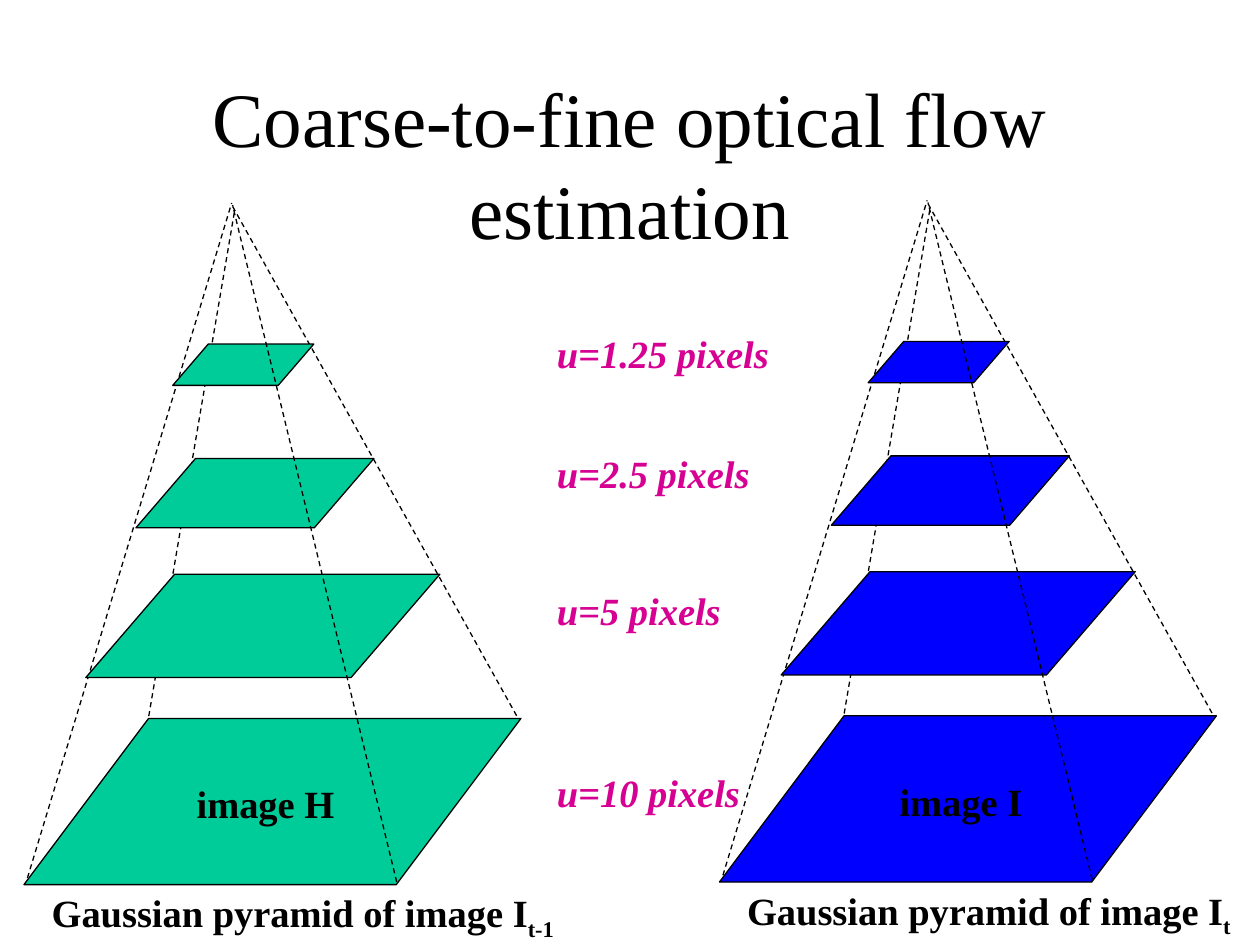
from lxml import etree
from pptx import Presentation
from pptx.dml.color import RGBColor
from pptx.enum import dml, shapes, text
from pptx.oxml.ns import qn
from pptx.util import Pt

BLACK = RGBColor(0x00, 0x00, 0x00)
GREEN = RGBColor(0x00, 0xCC, 0x99)
BLUE = RGBColor(0x00, 0x00, 0xFF)
MAGENTA = RGBColor(0xD6, 0x00, 0x93)
FONT = "Times New Roman"

# Pyramid parts, relative to the pyramid's top left corner
LAYERS = [  # left, top, width, height, slant
    (0, 294.5, 284, 95, 0.75),
    (64, 146, 136, 39.6, 0.86),
    (35.3, 212.2, 202.3, 59, 0.86),
    (85, 80.6, 80.6, 23.6, 0.86),
]
BACK_EDGES = [
    (2, 385.7, 118.7, 0),
    (281.5, 293, 118.8, 1.2),
    (120.2, 5.5, 71, 295),
]
FRONT_EDGE = (213, 388, 119.2, 1.2)

FLOW_LABELS = [("u=1.25 pixels", 0), ("u=2.5 pixels", 68.4),
               ("u=5 pixels", 146.9), ("u=10 pixels", 250.6)]


def style(font, size, color, bold=False, italic=False):
    font.name, font.size = FONT, Pt(size)
    font.bold, font.italic = bold, italic
    font.color.rgb = color


def add_label(page, left, top, width, words, color=BLACK, italic=False,
              align=text.PP_ALIGN.LEFT):
    box = page.shapes.add_textbox(Pt(left), Pt(top), Pt(width), Pt(26.6))
    frame = box.text_frame
    frame.word_wrap = True
    frame.margin_left = frame.margin_right = 0
    frame.margin_top = frame.margin_bottom = 0
    para = frame.paragraphs[0]
    para.text = words
    para.alignment = align
    style(para.font, 22, color, bold=True, italic=italic)
    return para


def add_edge(page, left, top, edge):
    x1, y1, x2, y2 = edge
    line = page.shapes.add_connector(
        shapes.MSO_CONNECTOR.STRAIGHT,
        Pt(left + x1), Pt(top + y1), Pt(left + x2), Pt(top + y2))
    line.line.color.rgb = BLACK
    line.line.width = Pt(0.75)
    line.line.dash_style = dml.MSO_LINE.DASH
    etree.SubElement(line._element.spPr, qn("a:effectLst"))


def add_pyramid(page, left, top, color, name, subscript):
    for edge in BACK_EDGES:
        add_edge(page, left, top, edge)

    # Image at each resolution
    for x, y, width, height, slant in LAYERS:
        layer = page.shapes.add_shape(
            shapes.MSO_SHAPE.PARALLELOGRAM,
            Pt(left + x), Pt(top + y), Pt(width), Pt(height))
        layer.adjustments[0] = slant
        layer.shadow.inherit = False
        layer.fill.solid()
        layer.fill.fore_color.rgb = color
        layer.line.color.rgb = BLACK
        layer.line.width = Pt(0.75)

    add_edge(page, left, top, FRONT_EDGE)

    # Name on the base, caption below it
    add_label(page, left + 88, top + 330, 100, name,
              align=text.PP_ALIGN.CENTER)
    caption = add_label(page, left + 15.8, top + 392.3, 290,
                        "Gaussian pyramid of image I")
    span = caption.add_run()
    span.text = subscript
    style(span.font, 22, BLACK, bold=True)
    span.font._element.set("baseline", "-25000")


def add_flow_labels(page, left, top):
    for words, offset in FLOW_LABELS:
        add_label(page, left, top + offset, 140, words, MAGENTA, italic=True)


def set_title(page, left, top, width, height):
    title = page.shapes.title
    title.left, title.top = Pt(left), Pt(top)
    title.width, title.height = Pt(width), Pt(height)
    frame = title.text_frame
    frame.text = "Coarse-to-fine optical flow estimation"
    frame.word_wrap = True
    frame.auto_size = text.MSO_AUTO_SIZE.NONE
    frame.vertical_anchor = text.MSO_ANCHOR.MIDDLE
    para = frame.paragraphs[0]
    para.alignment = text.PP_ALIGN.CENTER
    style(para.font, 44, BLACK)


def main():
    deck = Presentation()
    deck.slide_width, deck.slide_height = Pt(720), Pt(540)
    page = deck.slides.add_slide(deck.slide_layouts[5])
    set_title(page, 54, 48, 612, 90)
    add_pyramid(page, 13.7, 116, GREEN, "image H", "t-1")
    add_pyramid(page, 411.1, 114.5, BLUE, "image I", "t")
    add_flow_labels(page, 318.2, 188.6)
    deck.save("out.pptx")


if __name__ == "__main__":
    main()
